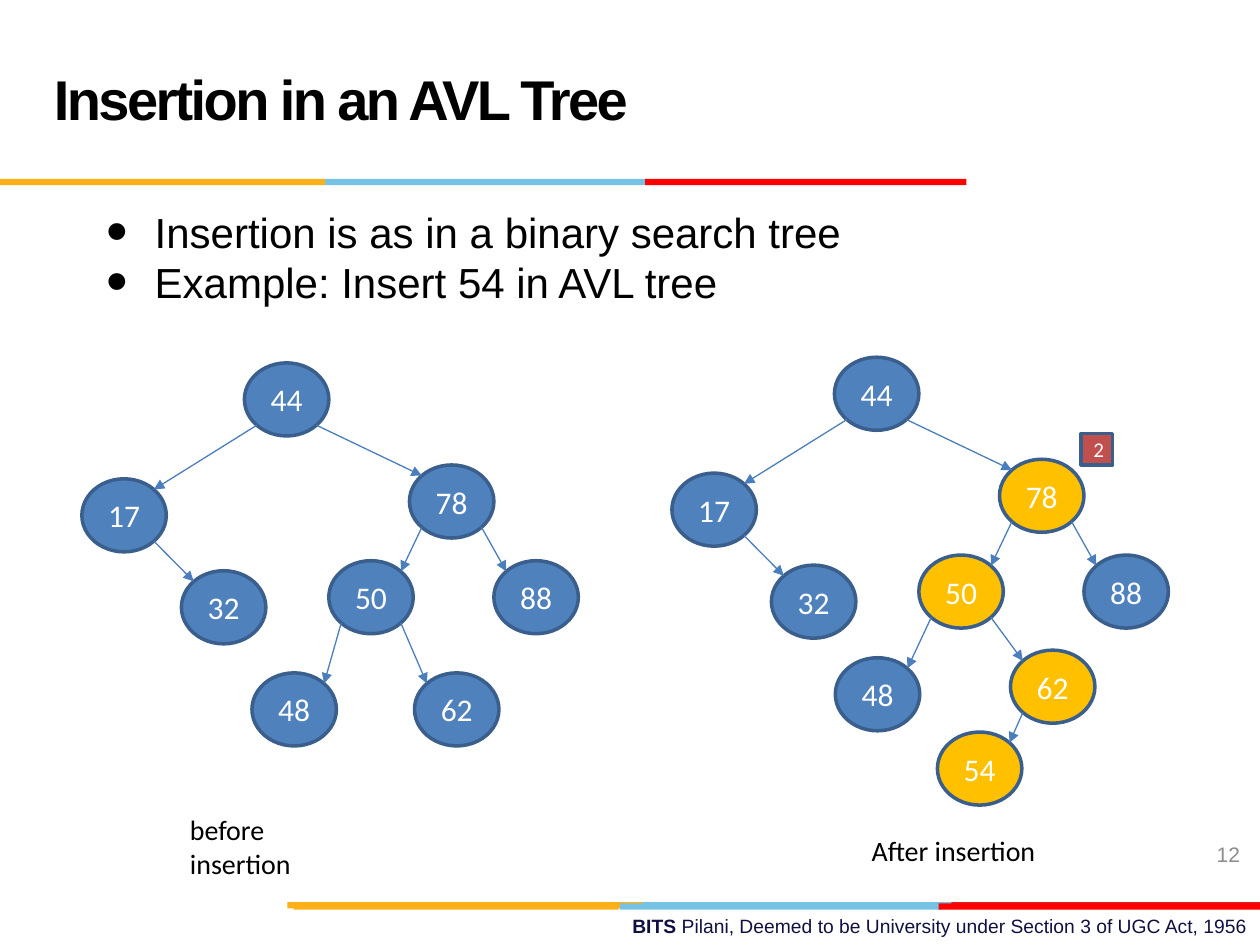
import math

import lxml.etree
import pptx
import pptx.dml.color
import pptx.enum.shapes
import pptx.enum.text
import pptx.oxml.ns
import pptx.util

SHAPES = pptx.enum.shapes.MSO_SHAPE
ALIGN = pptx.enum.text.PP_ALIGN
ANCHOR = pptx.enum.text.MSO_ANCHOR

COLORS = {
    "black": "000000", "white": "FFFFFF", "navy": "101141", "grey": "8C8C8C",
    "gold": "FCB017", "sky": "76C2E5", "red": "FF0000", "crimson": "E31C24",
    "node": "4F81BD", "path": "FFC000", "badge": "C0504D",
    "outline": "3A5F8C", "edge": "4B7EBC",
}

STRIPES = [
    (71.6, [("sky", 50.6, 25.5), ("crimson", 75.5, 24.5), ("gold", 22.8, 28.2)]),
    (71.7, [("sky", 49.2, 25.5), ("gold", 23.3, 25.8), ("red", 74.5, 25.5)]),
    (14.2, [("sky", 25.8, 25.5), ("gold", 0, 25.8), ("red", 51.2, 25.5)]),
]

BEFORE_NODES = {
    44: (19.4, 28.8), 17: (6.5, 38), 78: (32.5, 36.9), 32: (14.4, 45.3),
    50: (26.1, 44.5), 88: (39.2, 44.5), 48: (20, 53.4), 62: (32.9, 53.4),
}
BEFORE_EDGES = [(44, 17), (44, 78), (17, 32), (78, 50), (78, 88), (50, 48), (50, 62)]

AFTER_SHIFT = (46.83, -0.45)
AFTER_NODES = {
    key: (left + AFTER_SHIFT[0], top + AFTER_SHIFT[1])
    for key, (left, top) in BEFORE_NODES.items()
}
AFTER_NODES.update({48: (66.3, 52.2), 62: (80.2, 51.6), 54: (74.4, 58.1)})
AFTER_EDGES = BEFORE_EDGES + [(62, 54)]
INSERTION_PATH = {78, 50, 62, 54}


class SlideBuilder:
    columns, rows = 100, 75
    node_width, node_height = 6.7, 5.8

    def __init__(self, presentation):
        self.column = presentation.slide_width / self.columns
        self.row = presentation.slide_height / self.rows
        self.slide = presentation.slides.add_slide(presentation.slide_layouts[6])

    def place(self, left, top, width, height):
        return (round(left * self.column), round(top * self.row),
                round(width * self.column), round(height * self.row))

    def rgb(self, color):
        return pptx.dml.color.RGBColor.from_string(COLORS[color])

    def style(self, run, size, color, font="Arial", bold=False):
        run.font.size = pptx.util.Pt(size)
        run.font.name = font
        run.font.bold = bold
        run.font.color.rgb = self.rgb(color)

    def text(self, area, lines, size, color="black", font="Arial", bold=False,
             align=ALIGN.LEFT, anchor=ANCHOR.TOP, wrap=True):
        frame = self.slide.shapes.add_textbox(*self.place(*area)).text_frame
        frame.word_wrap = wrap
        frame.vertical_anchor = anchor
        frame.text = "\n".join(lines)
        for paragraph in frame.paragraphs:
            paragraph.alignment = align
            for run in paragraph.runs:
                self.style(run, size, color, font, bold)
        return frame

    def title(self, area, wording):
        paragraph = self.text(area, [wording], 32, bold=True, anchor=ANCHOR.MIDDLE).paragraphs[0]
        paragraph.line_spacing = pptx.util.Pt(36)
        paragraph.runs[0].font._element.set("spc", "-150")

    def bullets(self, area, lines):
        frame = self.text(area, lines, 24)
        for index, paragraph in enumerate(frame.paragraphs):
            paragraph.line_spacing = 0.79
            paragraph.space_before = pptx.util.Pt(6 if index else 0)
            properties = paragraph._p.get_or_add_pPr()
            indent = pptx.util.Inches(0.38)
            properties.set("marL", str(indent))
            properties.set("indent", str(-indent))
            for tag, name, value in (("a:buSzPct", "val", "147000"),
                                     ("a:buFont", "typeface", "Arial"),
                                     ("a:buChar", "char", "•")):
                lxml.etree.SubElement(properties, pptx.oxml.ns.qn(tag)).set(name, value)

    def footer(self, area, institution, statement):
        paragraph = self.text(area, [institution], 11, "navy", bold=True,
                              align=ALIGN.RIGHT).paragraphs[0]
        run = paragraph.add_run()
        run.text = statement
        self.style(run, 11, "navy")

    def block(self, kind, area, fill, outline=None):
        shape = self.slide.shapes.add_shape(kind, *self.place(*area))
        shape.shadow.inherit = False
        shape.fill.solid()
        shape.fill.fore_color.rgb = self.rgb(fill)
        if outline:
            shape.line.color.rgb = self.rgb(outline)
            shape.line.width = pptx.util.Pt(2)
        else:
            shape.line.fill.background()
        return shape

    def label(self, kind, area, fill, wording, size):
        frame = self.block(kind, area, fill, "outline").text_frame
        frame.text = wording
        frame.vertical_anchor = ANCHOR.MIDDLE
        frame.paragraphs[0].alignment = ALIGN.CENTER
        self.style(frame.paragraphs[0].runs[0], size, "white", "Calibri")

    def rim(self, corner, horizontal, vertical):
        half = math.sqrt(0.5)
        return (corner[0] + self.node_width / 2 * (1 + horizontal * half),
                corner[1] + self.node_height / 2 * (1 + vertical * half))

    def arrow(self, start, end):
        link = self.slide.shapes.add_connector(
            pptx.enum.shapes.MSO_CONNECTOR.STRAIGHT, *self.place(*start, *end))
        link.line.color.rgb = self.rgb("edge")
        link.line.width = pptx.util.Pt(0.75)
        stroke = link.line._get_or_add_ln()
        lxml.etree.SubElement(stroke, pptx.oxml.ns.qn("a:tailEnd")).set("type", "triangle")
        lxml.etree.SubElement(link._element.spPr, pptx.oxml.ns.qn("a:effectLst"))

    def tree(self, nodes, edges, highlighted=()):
        for key, corner in nodes.items():
            fill = "path" if key in highlighted else "node"
            self.label(SHAPES.FLOWCHART_CONNECTOR,
                       (*corner, self.node_width, self.node_height), fill, str(key), 18)
        for parent, child in edges:
            side = -1 if child < parent else 1
            self.arrow(self.rim(nodes[parent], side, 1), self.rim(nodes[child], -side, -1))


def main():
    presentation = pptx.Presentation()
    presentation.slide_width = pptx.util.Inches(10)
    presentation.slide_height = pptx.util.Inches(7.5)
    builder = SlideBuilder(presentation)

    builder.footer((35.8, 72.1, 64.2, 2.9), "BITS ",
                   "Pilani, Deemed to be University under Section 3 of UGC Act, 1956")
    for top, bands in STRIPES:
        for color, left, width in bands:
            builder.block(SHAPES.RECTANGLE, (left, top, width, 0.5), color)
    builder.title((3.3, 1.7, 71.7, 12.5), "Insertion in an AVL Tree")
    builder.text((76.1, 65.8, 23.3, 4), ["12"], 12, "grey",
                 align=ALIGN.RIGHT, anchor=ANCHOR.MIDDLE)
    builder.bullets((7.5, 16.7, 85, 13.3), ["Insertion is as in a binary search tree",
                                            "Example: Insert 54 in AVL tree"])

    builder.tree(BEFORE_NODES, BEFORE_EDGES)
    builder.text((14.1, 64, 15, 6.4), ["before insertion"], 16, font="Calibri")
    builder.tree(AFTER_NODES, AFTER_EDGES, INSERTION_PATH)
    builder.label(SHAPES.RECTANGLE, (85.8, 34.4, 2.5, 2.5), "badge", "2", 12)
    builder.text((68.2, 65.7, 15.2, 3.7), ["After insertion"], 16, font="Calibri", wrap=False)

    presentation.save("out.pptx")


if __name__ == "__main__":
    main()
